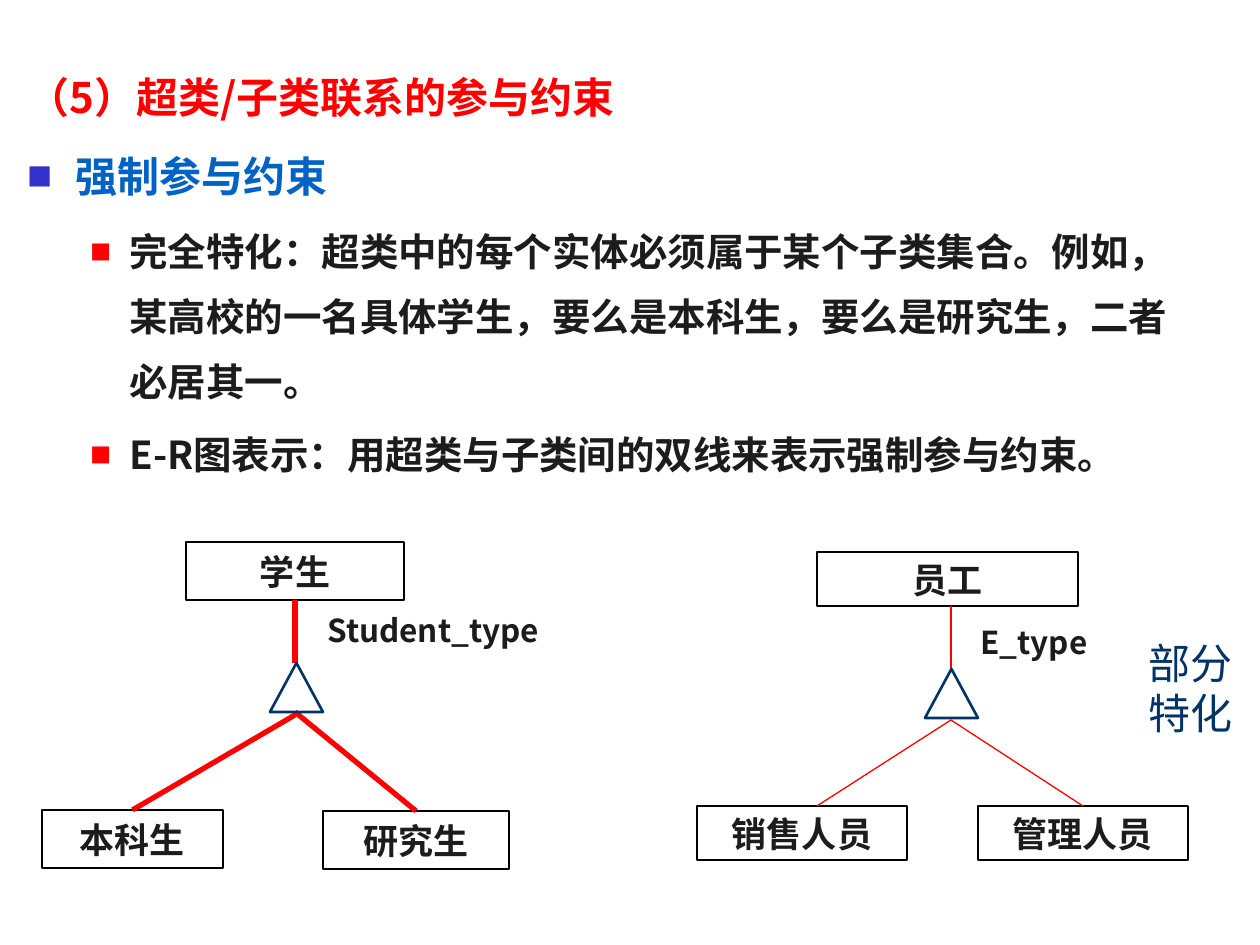
from lxml.etree import SubElement
from pptx import Presentation
from pptx.dml.color import RGBColor
from pptx.enum.shapes import MSO_CONNECTOR, MSO_SHAPE
from pptx.enum.text import MSO_ANCHOR, MSO_AUTO_SIZE, PP_ALIGN
from pptx.oxml.ns import qn
from pptx.util import Emu, Pt

SCALE = 914400 / 126  # EMU per px
RED, NAVY, INK = "FF0000", "003366", "1C1C1C"
TOP, BOTTOM = 0, 2  # connection sites of a rectangle


def px(value):
    return Emu(round(value * SCALE))


def color(hex_string):
    return RGBColor.from_string(hex_string)


class Diagram:
    font = "Noto Sans CJK SC"

    def __init__(self, slide):
        self.slide = slide

    def add_text(self, paragraph, text, size, ink, bold=True, font=None):
        run = paragraph.add_run()
        run.text = text
        run.font.size = Pt(size)
        run.font.bold = bold
        run.font.color.rgb = color(ink)
        run.font.name = font or self.font
        SubElement(run._r.get_or_add_rPr(), qn("a:ea"), typeface=font or self.font)

    def body(self, box, items):
        holder = self.slide.placeholders[1]
        holder.left, holder.top, holder.width, holder.height = map(px, box)
        frame = holder.text_frame
        frame.auto_size = MSO_AUTO_SIZE.NONE
        for i, (text, level, size, ink, bullet) in enumerate(items):
            paragraph = frame.add_paragraph() if i else frame.paragraphs[0]
            paragraph.level = level
            paragraph.line_spacing = 1.4
            paragraph.space_before = Pt(5 if i else 0)
            self.bullet(paragraph, bullet)
            self.add_text(paragraph, text, size, ink)

    def bullet(self, paragraph, bullet):
        props = paragraph._p.get_or_add_pPr()
        margin, hang = (102, 39) if paragraph.level else (48, 48)
        props.set("marL", str(px(margin)))
        props.set("indent", str(-px(hang)))
        if bullet is None:
            SubElement(props, qn("a:buNone"))
            return
        ink, percent = bullet
        SubElement(SubElement(props, qn("a:buClr")), qn("a:srgbClr"), val=ink)
        SubElement(props, qn("a:buSzPct"), val=str(percent * 1000))
        SubElement(props, qn("a:buFont"), typeface=self.font)
        SubElement(props, qn("a:buChar"), char="■")

    def shape(self, kind, box, line, width):
        shape = self.slide.shapes.add_shape(kind, *map(px, box))
        shape.shadow.inherit = False
        shape.line.color.rgb = color(line)
        shape.line.width = Pt(width)
        return shape

    def entity(self, text, *box):
        shape = self.shape(MSO_SHAPE.RECTANGLE, box, "000000", 0.75)
        shape.fill.solid()
        shape.fill.fore_color.rgb = color("FFFFFF")
        frame = shape.text_frame
        frame.vertical_anchor = MSO_ANCHOR.MIDDLE
        frame.paragraphs[0].alignment = PP_ALIGN.CENTER
        self.add_text(frame.paragraphs[0], text, 20, INK)
        return shape

    def triangle(self, left, top):
        self.shape(MSO_SHAPE.ISOSCELES_TRIANGLE, (left, top, 53, 49), NAVY, 1.5).fill.background()

    def link(self, start, end, width, begin_at=None, end_at=None):
        line = self.slide.shapes.add_connector(MSO_CONNECTOR.STRAIGHT, *map(px, start + end))
        line.line.color.rgb = color(RED)
        line.line.width = Pt(width)
        SubElement(line._element.spPr, qn("a:effectLst"))
        if begin_at is not None:
            line.begin_connect(begin_at, BOTTOM)
        if end_at is not None:
            line.end_connect(end_at, TOP)

    def label(self, text, box, size=18, ink=INK, bold=True, font=None, align=PP_ALIGN.LEFT):
        frame = self.slide.shapes.add_textbox(*map(px, box)).text_frame
        frame.word_wrap = True
        frame.paragraphs[0].alignment = align
        self.add_text(frame.paragraphs[0], text, size, ink, bold, font)


def main():
    deck = Presentation()
    deck.slide_width, deck.slide_height = px(1260), px(945)
    slide = deck.slides.add_slide(deck.slide_layouts[1])
    title = slide.shapes.title._element
    title.getparent().remove(title)
    diagram = Diagram(slide)

    # Heading and explanation
    diagram.body((15, 45, 1201, 437), [
        ("（5）超类/子类联系的参与约束", 0, 24, RED, None),
        ("强制参与约束", 0, 24, "0062C4", ("3333CC", 60)),
        ("完全特化：超类中的每个实体必须属于某个子类集合。例如，某高校的一名具体学生，"
         "要么是本科生，要么是研究生，二者必居其一。", 1, 22, INK, (RED, 55)),
        ("E-R图表示：用超类与子类间的双线来表示强制参与约束。", 1, 22, INK, (RED, 55)),
    ])

    # Employees: partial specialization, thin lines
    diagram.entity("员工", 817, 552, 261, 54)
    diagram.entity("销售人员", 697, 806, 210, 54)
    manager = diagram.entity("管理人员", 978, 806, 210, 54)
    diagram.link((951, 606), (951, 669), 0.75)
    diagram.link((951, 720), (817, 806), 0.75)
    diagram.link((951, 720), (1083, 806), 0.75, end_at=manager)
    diagram.triangle(925, 669)
    diagram.label("E_type", (968, 617, 188, 54))

    # Students: mandatory participation, thick lines
    student = diagram.entity("学生", 186, 542, 218, 58)
    undergraduate = diagram.entity("本科生", 42, 810, 181, 58)
    graduate = diagram.entity("研究生", 323, 811, 186, 58)
    diagram.link((295, 600), (295, 663), 3, begin_at=student)
    diagram.link((295, 715), (132, 810), 3, end_at=undergraduate)
    diagram.link((295, 712), (416, 811), 3, end_at=graduate)
    diagram.triangle(270, 663)
    diagram.label("Student_type", (315, 605, 296, 58))

    # Side note
    diagram.label("部分特化", (1126, 631, 129, 115), 24, NAVY, False, "Roboto", PP_ALIGN.CENTER)

    deck.save("out.pptx")


if __name__ == "__main__":
    main()
